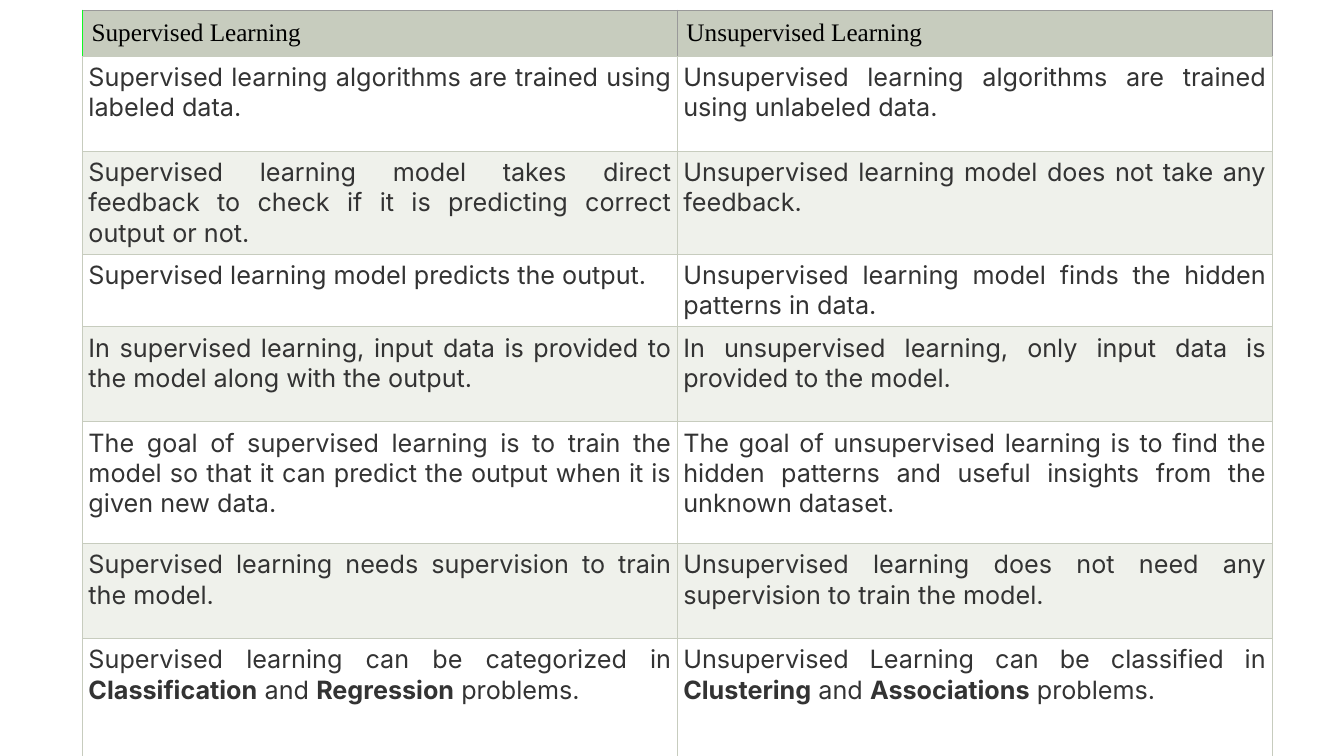
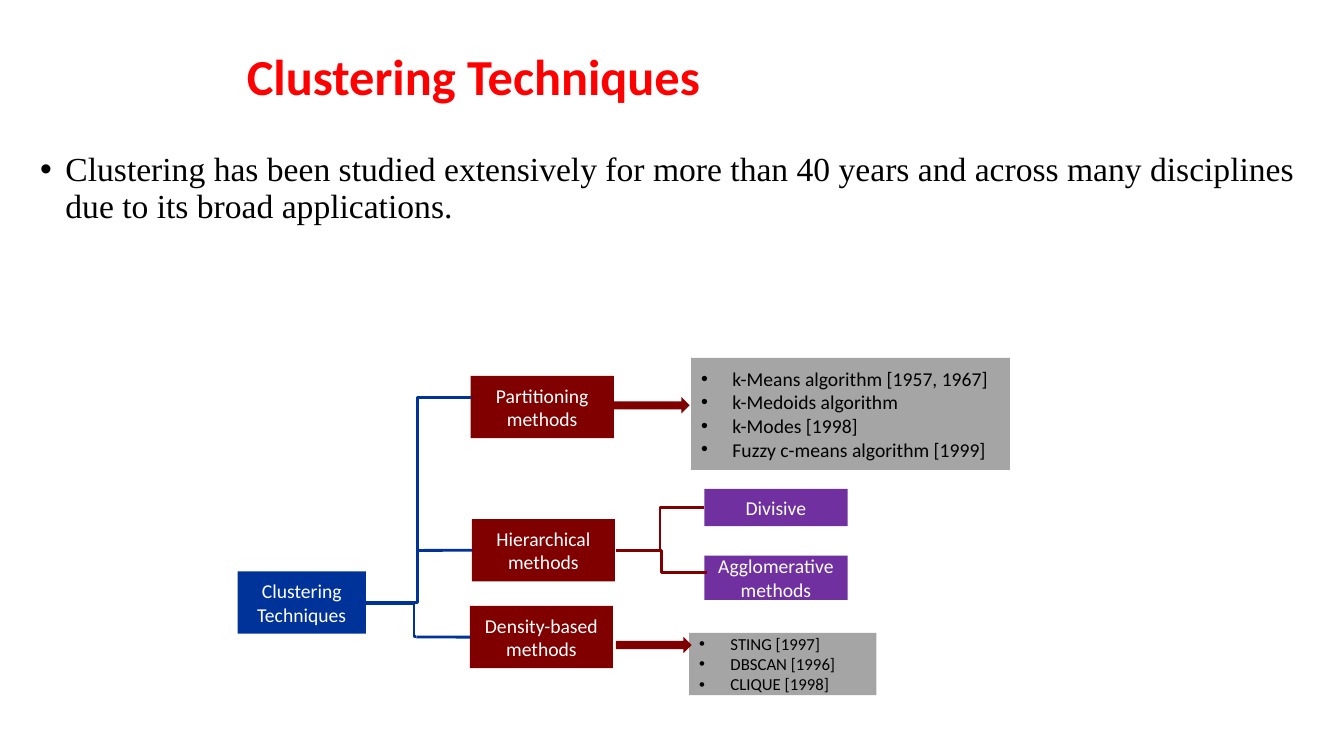
from dataclasses import dataclass
from typing import Any

import lxml.etree
import pptx
import pptx.dml.color
import pptx.enum.shapes
import pptx.enum.text
import pptx.oxml.ns
import pptx.util

Cm = pptx.util.Cm
Pt = pptx.util.Pt
qn = pptx.oxml.ns.qn
Align = pptx.enum.text.PP_ALIGN
Anchor = pptx.enum.text.MSO_ANCHOR
ShapeKind = pptx.enum.shapes.MSO_SHAPE
ConnectorKind = pptx.enum.shapes.MSO_CONNECTOR

WHITE, BLACK, RED = "FFFFFF", "000000", "FF0000"
NAVY, MAROON, PURPLE, GRAY = "003399", "800000", "7030A0", "A5A5A5"
SAGE, PALE_SAGE, INK = "C7CCBE", "EFF1EB", "333333"
GREEN, HEADER_EDGE = "10F723", "999999"

TITLE_FORMAT = {"name": "Calibri", "size": Pt(36), "bold": True, "color": RED}
BODY_FORMAT = {"name": "Times New Roman", "size": Pt(24), "color": BLACK}
HEADER_FORMAT = {"name": "Times New Roman", "size": Pt(18), "color": BLACK}
CELL_FORMAT = {"name": "Inter", "size": Pt(18), "color": INK}
LABEL_FORMAT = {"name": "Calibri", "size": Pt(14), "color": WHITE}
LIST_FORMAT = LABEL_FORMAT | {"color": BLACK}
SMALL_LIST_FORMAT = LIST_FORMAT | {"size": Pt(12)}

ROW_HEIGHTS = (1.14, 2.39, 2.39, 1.7, 2.39, 3.07, 2.39, 3.07)
COMPARISON = (
    ("Supervised Learning", "Unsupervised Learning"),
    ("Supervised learning algorithms are trained using labeled data.",
     "Unsupervised learning algorithms are trained using unlabeled data."),
    ("Supervised learning model takes direct feedback to check if it is predicting correct output or not.",
     "Unsupervised learning model does not take any feedback."),
    ("Supervised learning model predicts the output.",
     "Unsupervised learning model finds the hidden patterns in data."),
    ("In supervised learning, input data is provided to the model along with the output.",
     "In unsupervised learning, only input data is provided to the model."),
    ("The goal of supervised learning is to train the model so that it can predict the output "
     "when it is given new data.",
     "The goal of unsupervised learning is to find the hidden patterns and useful insights "
     "from the unknown dataset."),
    ("Supervised learning needs supervision to train the model.",
     "Unsupervised learning does not need any supervision to train the model."),
    ("Supervised learning can be categorized in *Classification* and *Regression* problems.",
     "Unsupervised Learning can be classified in *Clustering* and *Associations* problems."),
)


@dataclass(frozen=True)
class Node:
    name: str
    left: float
    top: float
    width: float
    height: float
    fill: str
    lines: tuple[str, ...]
    bulleted: bool = False
    font: Any = None


@dataclass(frozen=True)
class Link:
    start: tuple[float, float]
    end: tuple[float, float]
    color: str
    bend: int = 50000
    target: str = ""


@dataclass(frozen=True)
class Arrow:
    left: float
    top: float


NODES = (
    Node("root", 5.99, 14.4, 3.23, 1.57, NAVY, ("Clustering Techniques",)),
    Node("partitioning", 11.86, 9.47, 3.61, 1.57, MAROON, ("Partitioning methods",)),
    Node("hierarchical", 11.89, 13.08, 3.61, 1.57, MAROON, ("Hierarchical methods",)),
    Node("density", 11.84, 15.27, 3.61, 1.57, MAROON, ("Density-based methods",)),
    Node("divisive", 17.75, 12.32, 3.61, 0.94, PURPLE, ("Divisive",)),
    Node("agglomerative", 17.75, 14, 3.61, 1.12, PURPLE, ("Agglomerative methods",)),
    Node("partitioning list", 17.42, 9.02, 8.03, 2.82, GRAY,
         ("k-Means algorithm [1957, 1967]", "k-Medoids algorithm", "k-Modes [1998]",
          "Fuzzy c-means algorithm [1999]"), True, LIST_FORMAT),
    Node("density list", 17.37, 15.95, 4.72, 1.57, GRAY,
         ("STING [1997]", "DBSCAN [1996]", "CLIQUE [1998]"), True, SMALL_LIST_FORMAT),
)
LINKS = (
    Link((9.19, 15.19), (11.86, 10.01), NAVY),
    Link((10.54, 13.87), (11.89, 13.87), NAVY, target="hierarchical"),
    Link((9.19, 15.21), (10.49, 16.05), NAVY, bend=95700),
    Link((10.49, 16.05), (11.84, 16.05), NAVY, target="density"),
    Link((15.52, 13.87), (17.75, 12.78), MAROON),
    Link((15.52, 13.87), (17.81, 14.43), MAROON),
)
ARROWS = (Arrow(15.47, 10.01), Arrow(15.52, 16.05))


def rgb(value: str) -> Any:
    return pptx.dml.color.RGBColor.from_string(value)


def apply_format(font: Any, values: dict[str, Any]) -> None:
    for name, value in values.items():
        if name == "color":
            font.color.rgb = rgb(value)
        else:
            setattr(font, name, value)


def write_spans(para: Any, text: str, values: dict[str, Any]) -> None:
    for index, part in enumerate(text.split("*")):
        span = para.add_run()
        span.text = part
        apply_format(span.font, {"bold": index % 2 == 1} | values)


def add_bullet(para: Any, indent: float) -> None:
    properties = para._p.get_or_add_pPr()
    properties.set("marL", str(Cm(indent)))
    properties.set("indent", str(-Cm(indent)))
    lxml.etree.SubElement(properties, qn("a:buFont"), typeface="Arial")
    lxml.etree.SubElement(properties, qn("a:buChar"), char="•")


def set_borders(cell: Any, colors: dict[str, str]) -> None:
    properties = cell._tc.get_or_add_tcPr()
    for side, color in colors.items():
        line = lxml.etree.SubElement(properties, qn(f"a:ln{side}"), w=str(Pt(0.6)))
        fill = lxml.etree.SubElement(line, qn("a:solidFill"))
        lxml.etree.SubElement(fill, qn("a:srgbClr"), val=color)


def header_borders(column: int) -> dict[str, str]:
    return {"L": HEADER_EDGE if column else GREEN, "R": HEADER_EDGE, "T": HEADER_EDGE, "B": SAGE}


def add_comparison(page: Any) -> None:
    frame = page.shapes.add_table(len(COMPARISON), 2, Cm(2.08), Cm(0.25), Cm(29.98), Cm(sum(ROW_HEIGHTS)))
    table = frame.table
    table.first_row = table.horz_banding = False
    for column in table.columns:
        column.width = Cm(14.99)
    for row_index, (texts, height) in enumerate(zip(COMPARISON, ROW_HEIGHTS)):
        header = row_index == 0
        table.rows[row_index].height = Cm(height)
        for column_index, text in enumerate(texts):
            cell = table.cell(row_index, column_index)
            for side in ("left", "right", "top", "bottom"):
                setattr(cell, f"margin_{side}", Cm(0.23 if header else 0.15))
            set_borders(cell, header_borders(column_index) if header else dict.fromkeys("LRTB", SAGE))
            cell.fill.solid()
            cell.fill.fore_color.rgb = rgb(SAGE if header else WHITE if row_index % 2 else PALE_SAGE)
            para = cell.text_frame.paragraphs[0]
            para.alignment = Align.LEFT if header else Align.JUSTIFY
            write_spans(para, text, HEADER_FORMAT if header else CELL_FORMAT)


def add_text(page: Any, at: tuple[float, float, float, float], text: str, values: dict[str, Any],
             anchor: Any, indent: float = 0) -> None:
    box = page.shapes.add_textbox(*map(Cm, at))
    box.text_frame.word_wrap = True
    box.text_frame.vertical_anchor = anchor
    para = box.text_frame.paragraphs[0]
    para.line_spacing = 0.9
    if indent:
        add_bullet(para, indent)
    write_spans(para, text, values)


def add_solid(page: Any, kind: Any, at: tuple[float, float, float, float], color: str) -> Any:
    shape = page.shapes.add_shape(kind, *map(Cm, at))
    shape.shadow.inherit = False
    shape.fill.solid()
    shape.fill.fore_color.rgb = rgb(color)
    shape.line.fill.background()
    return shape


def add_node(page: Any, node: Node) -> Any:
    box = add_solid(page, ShapeKind.RECTANGLE, (node.left, node.top, node.width, node.height), node.fill)
    frame = box.text_frame
    frame.word_wrap = True
    frame.vertical_anchor = Anchor.MIDDLE
    for index, line in enumerate(node.lines):
        para = frame.add_paragraph() if index else frame.paragraphs[0]
        para.alignment = Align.LEFT if node.bulleted else Align.CENTER
        if node.bulleted:
            add_bullet(para, 0.79)
        write_spans(para, line, node.font or LABEL_FORMAT)
    return box


def add_link(page: Any, link: Link, boxes: dict[str, Any]) -> None:
    kind = ConnectorKind.STRAIGHT if link.target else ConnectorKind.ELBOW
    connector = page.shapes.add_connector(kind, *map(Cm, link.start + link.end))
    connector.line.color.rgb = rgb(link.color)
    connector.line.width = Pt(2)
    properties = connector._element.spPr
    lxml.etree.SubElement(properties, qn("a:effectLst"))
    if link.target:
        connector.end_connect(boxes[link.target], 1)
    else:
        adjustments = properties.find(qn("a:prstGeom")).find(qn("a:avLst"))
        lxml.etree.SubElement(adjustments, qn("a:gd"), name="adj1", fmla=f"val {link.bend}")


def add_techniques(page: Any) -> None:
    add_text(page, (5.97, 0.41, 22.4, 3.18), "Clustering Techniques", TITLE_FORMAT, Anchor.MIDDLE)
    add_text(page, (0.76, 3.73, 32.18, 14.45),
             "Clustering has been studied extensively for more than 40 years and across many disciplines "
             "due to its broad applications.", BODY_FORMAT, Anchor.TOP, 0.64)
    boxes = {node.name: add_node(page, node) for node in NODES}
    for link in LINKS:
        add_link(page, link, boxes)
    for arrow in ARROWS:
        add_solid(page, ShapeKind.RIGHT_ARROW, (arrow.left, arrow.top, 1.91, 0.41), MAROON)


def main() -> None:
    deck = pptx.Presentation()
    deck.slide_width, deck.slide_height = Cm(33.87), Cm(19.05)
    for draw in (add_comparison, add_techniques):
        draw(deck.slides.add_slide(deck.slide_layouts[6]))
    deck.save("out.pptx")


if __name__ == "__main__":
    main()
